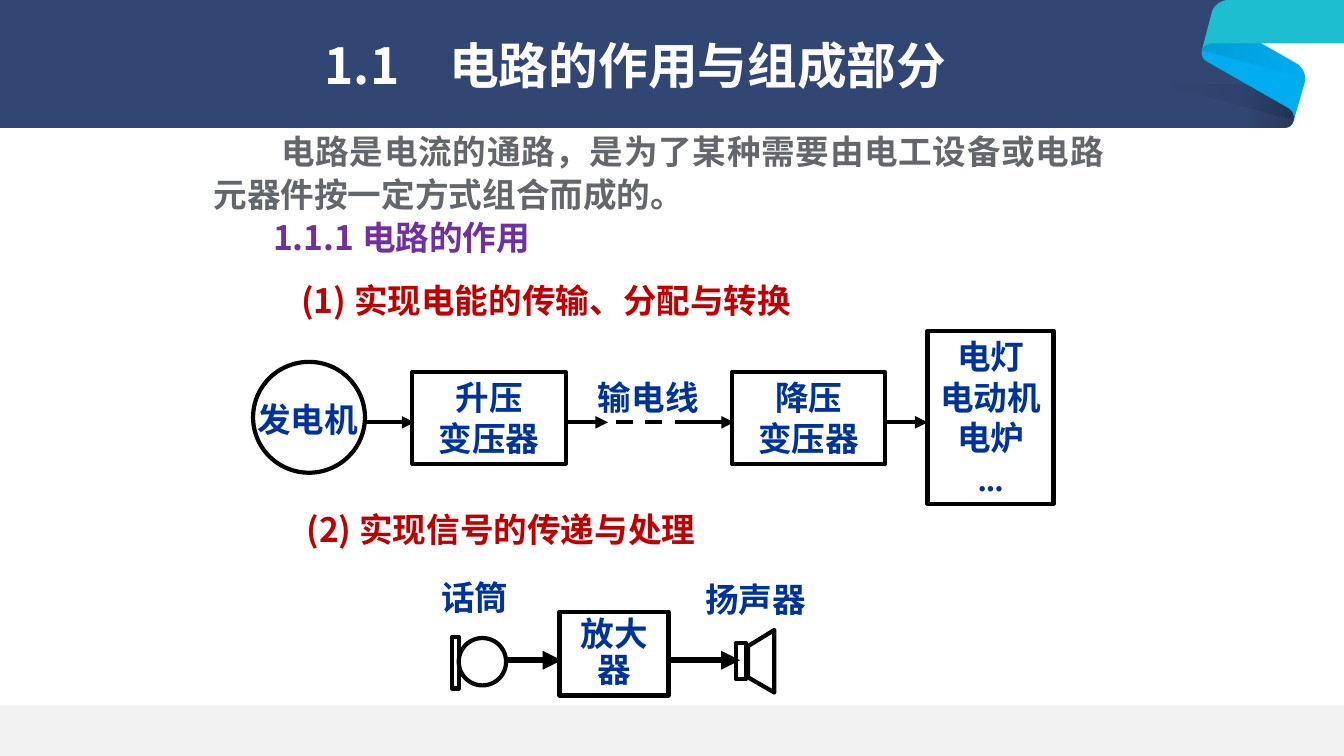
from pptx import Presentation
from pptx.util import Inches, Pt
from pptx.dml.color import RGBColor
from pptx.dml.fill import FillFormat
from pptx.enum.dml import MSO_LINE as Dash
from pptx.enum.shapes import MSO_SHAPE as Kind, MSO_CONNECTOR as Conn
from pptx.enum.text import PP_ALIGN as Align, MSO_ANCHOR as Anchor
from pptx.oxml.ns import qn
from lxml.etree import SubElement as Sub

HEX = {"navy": "314672", "blue": "00ADEF", "teal": "1DBED0", "foot": "F2F2F2",
       "white": "FFFFFF", "gray": "63676C", "red": "C00000", "violet": "7030A0",
       "ink": "003399", "black": "000000"}
SANS, SERIF = "Noto Sans CJK SC", "Times New Roman"
LINE = Pt(29)
TIGHT = Pt(26)


def rgb(name):
    return RGBColor.from_string(HEX[name])


# Text
def write(frame, text, color, face=SANS, size=24, align=Align.LEFT, gap=LINE):
    frame.text = text
    for para in frame.paragraphs:
        para.alignment, para.line_spacing = align, gap
        for run in para.runs:
            font = run.font
            font.name, font.size, font.bold = face, Pt(size), True
            font.color.rgb = rgb(color)
            Sub(font._element, qn("a:ea"), typeface=SANS)


def label(slide, x, y, w, h, text, color, wrap=True, **style):
    frame = slide.shapes.add_textbox(*map(Inches, (x, y, w, h))).text_frame
    frame.word_wrap = wrap
    write(frame, text, color, **style)
    return frame


def tag(slide, x, y, w, h, text, **style):
    label(slide, x, y, w, h, text, "ink", face=SERIF, align=Align.CENTER, **style)


# Shapes and lines
def paint(shape, fill=None, width=0):
    shape.shadow.inherit = False
    if fill:
        shape.fill.solid()
        shape.fill.fore_color.rgb = rgb(fill)
    else:
        shape.fill.background()
    if width:
        shape.line.color.rgb = rgb("black")
        shape.line.width = Pt(width)
    else:
        shape.line.fill.background()


def block(slide, kind, x, y, w, h, text="", gap=LINE):
    shape = slide.shapes.add_shape(kind, *map(Inches, (x, y, w, h)))
    paint(shape, width=3)
    if text:
        frame = shape.text_frame
        frame.word_wrap, frame.vertical_anchor = True, Anchor.TOP
        write(frame, text, "ink", SERIF, align=Align.CENTER, gap=gap)


def wire(slide, x, y, end, width=3, dash=False):
    line = slide.shapes.add_connector(Conn.STRAIGHT, *map(Inches, (x, y, end, y)))
    line.line.color.rgb = rgb("black")
    line.line.width = Pt(width)
    if dash:
        line.line.dash_style = Dash.DASH
    else:
        Sub(line.line._get_or_add_ln(), qn("a:tailEnd"), type="triangle")
    Sub(line._element.spPr, qn("a:effectLst"))


def trace(slide, steps):
    """Steps of two numbers are corners; steps of six are Bezier curves."""
    spots = [steps[0]]
    for step in steps[1:]:
        if len(step) == 2:
            spots.append(step)
            continue
        ends = [spots[-1], step[:2], step[2:4], step[4:]]
        for i in range(1, 9):
            t = i / 8
            mix = ((1 - t) ** 3, 3 * t * (1 - t) ** 2, 3 * t * t * (1 - t), t ** 3)
            spots.append(tuple(sum(m * p[k] for m, p in zip(mix, ends)) for k in (0, 1)))
    spots = [(Inches(x), Inches(y)) for x, y in spots]
    pen = slide.shapes.build_freeform(*spots[0])
    pen.add_line_segments(spots[1:], close=True)
    return pen.convert_to_shape()


def shade(slide, steps, alpha, angle):
    shape = trace(slide, steps)
    paint(shape)
    fill: FillFormat = shape.fill
    fill.gradient()
    fill.gradient_angle = angle
    for stop, spot in zip(fill.gradient_stops, (0, 1)):
        stop.color.rgb = rgb("black")
        stop.position = spot
    colors = shape._element.spPr.iter(qn("a:srgbClr"))
    for color, part in zip(list(colors), (alpha, 0)):
        Sub(color, qn("a:alpha"), val=str(part * 1000))


# Banner with folded ribbon, and footer
def frame(slide):
    tip = (12.83, 1.11, 12.84, 1.15, 12.83, 1.2)
    curl = (12.82, 1.24, 12.79, 1.27, 12.74, 1.27)
    back = (12.84, 1.15, 12.83, 1.11, 12.79, 1.08)
    paint(trace(slide, [(0, 0), (12.43, 0), (12.43, 0.72), (12.79, 1.08),
                        tip, curl, (0, 1.27)]), "navy")
    paint(trace(slide, [(11.97, 0.61), (12.79, 1.08), tip, (12.94, 0.82),
                        (12.96, 0.75, 12.92, 0.66, 12.86, 0.63), (12.44, 0.39),
                        (12.02, 0.41), (11.97, 0.41, 11.93, 0.46, 11.92, 0.5),
                        (11.91, 0.54, 11.93, 0.59, 11.97, 0.61)]), "blue")
    paint(trace(slide, [(11.92, 0.5), (11.93, 0.46, 11.97, 0.43, 12.02, 0.43),
                        (13.33, 0.43), (13.33, 0), (12.19, 0),
                        (12.11, 0, 12.04, 0.05, 12.02, 0.12)]), "teal")
    shade(slide, [(12.37, 0.84), (12.37, 1.27), (12.74, 1.27),
                  (12.79, 1.27, 12.82, 1.24, 12.83, 1.2), back], 20, 180)
    shade(slide, [(11.52, 0.84), (12.83, 1.2), back, (12.37, 0.84)], 10, 180)
    shade(slide, [(11.92, 0.5), (12.94, 0.77),
                  (12.94, 0.72, 12.91, 0.66, 12.86, 0.63), (12.5, 0.43),
                  (12.02, 0.43), (11.97, 0.43, 11.93, 0.46, 11.92, 0.5)], 10, 0)
    foot = slide.shapes.add_shape(Kind.RECTANGLE, 0, Inches(7), Inches(13.33), Inches(0.5))
    paint(foot, "foot")


def head(slide, x, y, w, h):
    title = slide.shapes.title
    title.left, title.top, title.width, title.height = map(Inches, (x, y, w, h))
    title.text_frame.vertical_anchor = Anchor.MIDDLE
    write(title.text_frame, "1.1　电路的作用与组成部分", "white", size=35.5, gap=0.9)
    # Bring the title in front of the banner
    title._element.getparent().append(title._element)


# Introduction and headings
def intro(slide, x, y):
    body = label(slide, x, y, 9.03, 0.95,
                 "电路是电流的通路，是为了某种需要由电工设备或电路元器件按一定方式组合而成的。",
                 "gray", align=Align.JUSTIFY, gap=Pt(30.5))
    props = body.paragraphs[0]._p.get_or_add_pPr()
    props.set("marL", "0")
    props.set("indent", str(Inches(0.67)))
    label(slide, x + 0.59, y + 0.87, 3.75, 0.5, "1.1.1 电路的作用", "violet")
    label(slide, x + 0.87, y + 1.54, 6.84, 0.46, "(1) 实现电能的传输、分配与转换", "red", gap=TIGHT)
    label(slide, x + 0.92, y + 3.77, 6.25, 0.5, "(2) 实现信号的传递与处理", "red")


# Power chain: generator to loads
def power(slide, x, y):
    block(slide, Kind.OVAL, x, y + 0.31, 1.11, 1.1)
    tag(slide, x - 0.06, y + 0.63, 1.2, 0.5, "发电机", wrap=False)
    for dx, text in ((1.58, "升压\n变压器"), (4.75, "降压\n变压器")):
        block(slide, Kind.RECTANGLE, x + dx, y + 0.41, 1.52, 0.91, text)
    block(slide, Kind.RECTANGLE, x + 6.69, y, 1.25, 1.72, "电灯\n电动机电炉\n...")
    axis = y + 0.91
    for start, end in ((1.1, 1.6), (3.1, 3.52), (4.35, 4.77), (6.27, 6.69)):
        wire(slide, x + start, axis, x + end)
    wire(slide, x + 3.6, axis, x + 4.35, dash=True)
    tag(slide, x + 3.32, y + 0.41, 1.2, 0.5, "输电线", wrap=False)


# Signal chain: microphone, amplifier, speaker
def signal(slide, x, y):
    block(slide, Kind.OVAL, x + 0.5, y + 0.66, 0.47, 0.47)
    block(slide, Kind.RECTANGLE, x + 0.43, y + 0.65, 0.07, 0.51)
    block(slide, Kind.RECTANGLE, x + 3.25, y + 0.71, 0.1, 0.36)
    cone = ((3.63, 0.58), (3.37, 0.74), (3.37, 1.05), (3.63, 1.2))
    paint(trace(slide, [(x + dx, y + dy) for dx, dy in cone]), width=3)
    for start, end in ((0.97, 1.52), (2.58, 3.29)):
        wire(slide, x + start, y + 0.88, x + end, 4.5)
    block(slide, Kind.RECTANGLE, x + 1.5, y + 0.4, 1.08, 0.83, "放大器", TIGHT)
    tag(slide, x + 2.57, y + 0.06, 1.75, 0.46, "扬声器", gap=TIGHT)
    tag(slide, x, y, 1.32, 0.5, "话筒")


def main():
    deck = Presentation()
    deck.slide_width, deck.slide_height = Inches(13.33), Inches(7.5)
    slide = deck.slides.add_slide(deck.slide_layouts[5])
    frame(slide)
    head(slide, 3.12, 0.35, 9, 0.65)
    intro(slide, 2.02, 1.23)
    power(slide, 2.51, 3.28)
    signal(slide, 4.05, 5.67)
    deck.save("out.pptx")


if __name__ == "__main__":
    main()
